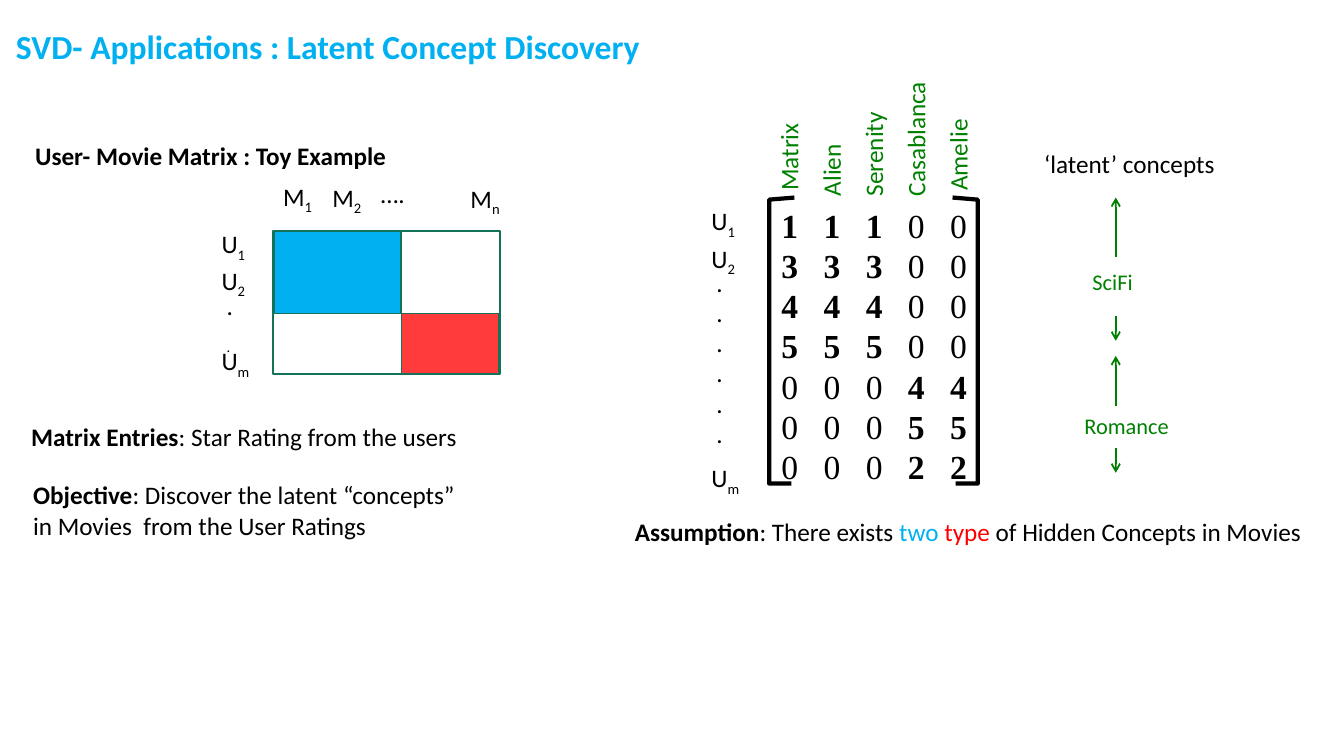
from dataclasses import dataclass

from lxml import etree
from pptx import Presentation
from pptx.dml.color import RGBColor as RGB
from pptx.enum.shapes import MSO_CONNECTOR as CONNECTOR, MSO_SHAPE as SHAPE
from pptx.enum.text import MSO_ANCHOR as ANCHOR
from pptx.oxml.ns import qn
from pptx.util import Pt


@dataclass(frozen=True)
class Theme:
    black: RGB = RGB(0x00, 0x00, 0x00)
    blue: RGB = RGB(0x00, 0xB0, 0xF0)
    red: RGB = RGB(0xFF, 0x00, 0x00)
    block_red: RGB = RGB(0xFF, 0x3B, 0x3B)
    green: RGB = RGB(0x00, 0x80, 0x00)
    outline: RGB = RGB(0x15, 0x72, 0x59)
    font: str = "Calibri"
    digits_font: str = "Times New Roman"
    large: Pt = Pt(24)
    body: Pt = Pt(18)
    small: Pt = Pt(16)


theme = Theme()
prs = Presentation()
prs.slide_width, prs.slide_height = Pt(960), Pt(540)
s = prs.slides.add_slide(prs.slide_layouts[6])


def add_text(left, top, width, height, paragraphs, **base):
    """Each paragraph is a list of (text, format changes) runs; base is the shared format."""
    sp = s.shapes.add_textbox(Pt(left), Pt(top), Pt(width), Pt(height))
    tf = sp.text_frame
    tf.word_wrap = True
    for i, runs in enumerate(paragraphs):
        p = tf.paragraphs[0] if i == 0 else tf.add_paragraph()
        for text, changes in runs:
            r = p.add_run()
            r.text = text
            values = {"name": theme.font, "size": theme.body, "color": theme.black,
                      "bold": False, **base, **changes}
            r.font.color.rgb = values.pop("color")
            if values.pop("sub", False):
                r._r.get_or_add_rPr().set("baseline", "-25000")
            for name, value in values.items():
                setattr(r.font, name, value)
    return sp


BOLD, SUB = {"bold": True}, {"sub": True}

# Headings and statements
add_text(4.3, 15.1, 540, 36, [[("SVD- Applications : Latent Concept Discovery", BOLD)]],
         size=theme.large, color=theme.blue)
add_text(18, 96.5, 302, 29, [[("User- Movie Matrix : Toy Example", BOLD)]])
add_text(15.1, 297.4, 480, 29,
         [[("Matrix Entries", BOLD), (": Star Rating from the users", {})]])
add_text(16.6, 339.1, 338, 51,
         [[("Objective", BOLD), (": Discover the latent “concepts”", {})],
          [("in Movies  from the User Ratings", {})]])
add_text(446.4, 365, 500, 29,
         [[("Assumption", BOLD), (": There exists ", {}), ("two ", {"color": theme.blue}),
           ("type", {"color": theme.red}), (" of Hidden Concepts in Movies", {})]])
add_text(738.7, 102.2, 156, 29, [[("‘latent’ concepts", {})]])

# Block diagram of the user-movie matrix
for left, top, width, height, fill in [
    (195.1, 164.9, 162, 102.2, None),
    (195.8, 164.9, 90.7, 59, theme.blue),
    (286.6, 223.9, 69.8, 43.2, theme.block_red),
]:
    sp = s.shapes.add_shape(SHAPE.RECTANGLE, Pt(left), Pt(top), Pt(width), Pt(height))
    sp.shadow.inherit = False
    sp.line.color.rgb = theme.outline
    sp.line.width = Pt(1)
    if fill is None:
        sp.fill.background()
    else:
        sp.fill.solid()
        sp.fill.fore_color.rgb = fill

# Row and column labels with subscripts
for left, top, letter, index in [
    (195.1, 126, "M", "1"), (230.4, 126.7, "M", "2"), (329, 127.4, "M", "n"),
    (151.2, 159.8, "U", "1"), (151.2, 185.8, "U", "2"), (151.2, 243.4, "U", "m"),
    (501.1, 143.3, "U", "1"), (501.1, 169.9, "U", "2"), (501.1, 326.9, "U", "m"),
]:
    add_text(left, top, 50, 29, [[(letter, {}), (index, SUB)]])
add_text(265, 123.8, 60, 29, [[("….", {})]])
add_text(154.8, 203.8, 52, 44, [[(".", {})], [(".", SUB)]])
add_text(504.7, 187.2, 52, 153, [[(".", {})]] * 6)

# Movie titles, read upwards above the rating columns
movies = ["Matrix", "Alien", "Serenity", "Casablanca", "Amelie"]
sp = add_text(570.2, 17.3, 100, 160, [[(movie, {})] for movie in movies], color=theme.green)
sp.rotation = 270
for movie, p in zip(movies, sp.text_frame.paragraphs):
    p.line_spacing = 1.4
    if movie in ("Matrix", "Amelie"):
        p._p.get_or_add_pPr().set("marL", str(Pt(4)))

# Ratings: one row per user, one tab stop per movie
COLUMN_GAP = 30.1
ratings = [([1, 1, 1], [0, 0]), ([3, 3, 3], [0, 0]), ([4, 4, 4], [0, 0]), ([5, 5, 5], [0, 0]),
           ([0, 0, 0], [4, 4]), ([0, 0, 0], [5, 5]), ([0, 0, 0], [2, 2])]
rows = [[("\t".join(map(str, scifi)) + "\t", {"bold": any(scifi)}),
         ("\t".join(map(str, romance)), {"bold": any(romance)})]
        for scifi, romance in ratings]
sp = add_text(551.1, 142.5, 156, 211, rows, name=theme.digits_font, size=theme.large)
for p in sp.text_frame.paragraphs:
    p.line_spacing = Pt(28.8)
    tabs = etree.SubElement(p._p.get_or_add_pPr(), qn("a:tabLst"))
    for column in range(1, len(movies)):
        etree.SubElement(tabs, qn("a:tab"), pos=str(Pt(COLUMN_GAP * column)), algn="l")

# Matrix brackets
for top_tip, edge, bottom_tip in [(567.4, 549.4, 565.2), (680.4, 698.4, 682.6)]:
    builder = s.shapes.build_freeform(Pt(top_tip), Pt(141.1))
    builder.add_line_segments(
        [(Pt(edge), Pt(142.6)), (Pt(edge), Pt(345.4)), (Pt(bottom_tip), Pt(345.4))], close=False)
    sp = builder.convert_to_shape()
    sp.shadow.inherit = False
    sp.fill.background()
    sp.line.color.rgb = theme.black
    sp.line.width = Pt(3)

# Concepts, each with an arrow up and an arrow down
ARROW_X = 797
for concept, left, top, width, arrows in [
    ("SciFi", 773.3, 187.9, 50, [(183.6, 141.1), (225.4, 243.4)]),
    ("Romance", 767.5, 290.9, 84, [(290.2, 254.2), (319.7, 337.7)]),
]:
    sp = add_text(left, top, width, 26.6, [[(concept, {})]],
                  size=theme.small, color=theme.green)
    sp.text_frame.vertical_anchor = ANCHOR.MIDDLE
    for start, end in arrows:
        arrow = s.shapes.add_connector(CONNECTOR.STRAIGHT, Pt(ARROW_X), Pt(start),
                                       Pt(ARROW_X), Pt(end))
        arrow.line.color.rgb = theme.green
        arrow.line.width = Pt(1.25)
        etree.SubElement(arrow.line._get_or_add_ln(), qn("a:tailEnd"), type="arrow")
        etree.SubElement(arrow._element.spPr, qn("a:effectLst"))

prs.save("out.pptx")
